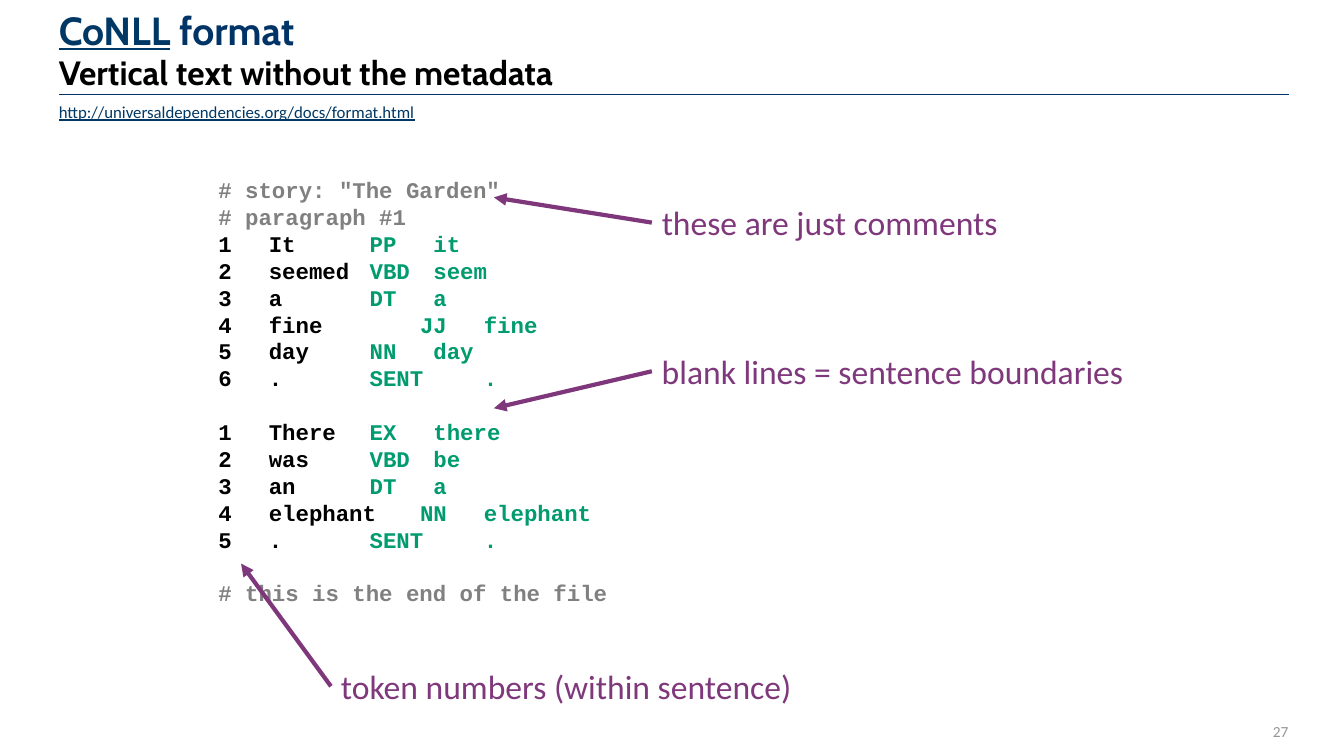
from typing import NamedTuple

from lxml import etree
from pptx import Presentation
from pptx.dml.color import RGBColor
from pptx.enum.shapes import MSO_CONNECTOR
from pptx.enum.text import MSO_ANCHOR, MSO_AUTO_SIZE, PP_ALIGN
from pptx.oxml.ns import qn
from pptx.util import Inches, Pt

STRAIGHT = MSO_CONNECTOR.STRAIGHT
TOP, MIDDLE, BOTTOM = MSO_ANCHOR.TOP, MSO_ANCHOR.MIDDLE, MSO_ANCHOR.BOTTOM
LEFT, RIGHT = PP_ALIGN.LEFT, PP_ALIGN.RIGHT
NO_FIT, GROW = MSO_AUTO_SIZE.NONE, MSO_AUTO_SIZE.SHAPE_TO_FIT_TEXT
LEFT_SIDE = 1

# The slide is a grid of 160 columns by 90 rows
WIDTH, HEIGHT = Inches(13.33), Inches(7.5)
COLUMNS, ROWS = 160, 90

NAVY, LINK, BLACK = "003366", "003865", "000000"
GREY, GREEN, PURPLE, PAGE_GREY = "808080", "009B6E", "7F387B", "969696"
CODE_PITCH = Pt(19.2)
TAB_STEP, TAB_COUNT = 0.5, 6


class Area(NamedTuple):
    column: float
    row: float
    columns: float
    rows: float


class Callout(NamedTuple):
    label: str
    area: Area
    tip: tuple[float, float]


class Token(NamedTuple):
    form: str
    tag: str
    lemma: str
    gap: str = "\t\t"


SENTENCES = [
    [Token("It", "PP", "it"), Token("seemed", "VBD", "seem", "\t"),
     Token("a", "DT", "a"), Token("fine", "JJ", "fine"),
     Token("day", "NN", "day"), Token(".", "SENT", ".")],
    [Token("There", "EX", "there", "\t"), Token("was", "VBD", "be"),
     Token("an", "DT", "a"), Token("elephant", "NN", "elephant", "\t"),
     Token(".", "SENT", ".")],
]
CALLOUTS = [
    Callout("these are just comments", Area(77.6, 23.5, 43.8, 6), (58.8, 23.5)),
    Callout("blank lines = sentence boundaries", Area(77.6, 41.2, 57.5, 6), (58.8, 48.6)),
    Callout("token numbers (within sentence)", Area(39.4, 78.7, 57.5, 6), (28.7, 67.1)),
]


def x(column: float) -> int:
    return round(WIDTH * column / COLUMNS)


def y(row: float) -> int:
    return round(HEIGHT * row / ROWS)


def colour(value: str) -> RGBColor:
    return RGBColor.from_string(value)


def add_text(paragraph, text: str, *, size: float, ink: str, font: str = "Calibri",
             bold: bool = False, underline: bool = False) -> None:
    run = paragraph.add_run()
    run.text = text
    run.font.name, run.font.size = font, Pt(size)
    run.font.bold, run.font.underline = bold, underline
    run.font.color.rgb = colour(ink)


def set_frame(shape, *, anchor=TOP, fit=NO_FIT, insets=(0, 0, 0, 0)):
    frame = shape.text_frame
    frame.word_wrap, frame.auto_size, frame.vertical_anchor = True, fit, anchor
    (frame.margin_left, frame.margin_top,
     frame.margin_right, frame.margin_bottom) = map(Inches, insets)
    return frame


def place(shape, area: Area) -> None:
    shape.left, shape.top = x(area.column), y(area.row)
    shape.width, shape.height = x(area.columns), y(area.rows)


def add_box(slide, area: Area, **frame_format):
    box = slide.shapes.add_textbox(x(area.column), y(area.row), x(area.columns), y(area.rows))
    return box, set_frame(box, **frame_format).paragraphs[0]


def add_line(slide, start: tuple[float, float], end: tuple[float, float],
             ink: str, width: float, arrow: bool = False):
    line = slide.shapes.add_connector(STRAIGHT, x(start[0]), y(start[1]), x(end[0]), y(end[1]))
    line.line.color.rgb, line.line.width = colour(ink), Pt(width)
    properties = line._element.spPr
    if arrow:
        etree.SubElement(properties.find(qn("a:ln")), qn("a:tailEnd"), type="triangle")
    etree.SubElement(properties, qn("a:effectLst"))
    return line


def format_code_line(paragraph, blank_line_before: bool) -> None:
    properties = paragraph._p.get_or_add_pPr()
    properties.set("marL", "0")
    properties.set("indent", "0")
    etree.SubElement(properties, qn("a:buNone"))
    tabs = etree.SubElement(properties, qn("a:tabLst"))
    for number in range(1, TAB_COUNT + 1):
        etree.SubElement(tabs, qn("a:tab"), pos=str(Inches(TAB_STEP * number)), algn="l")
    paragraph.alignment = LEFT
    paragraph.line_spacing = CODE_PITCH
    paragraph.space_before = CODE_PITCH if blank_line_before else Pt(0)
    paragraph.space_after = Pt(0)


def add_code_line(frame, *pieces: tuple[str, str], blank_line_before: bool = False) -> None:
    first = frame.paragraphs[0]
    paragraph = frame.add_paragraph() if first.runs else first
    format_code_line(paragraph, blank_line_before)
    for text, ink in pieces:
        add_text(paragraph, text, size=16, ink=ink, font="Courier New", bold=True)


def add_title(slide) -> None:
    title = slide.shapes.title
    place(title, Area(7, 1.5, 101.3, 9.5))
    heading = set_frame(title, anchor=BOTTOM).paragraphs[0]
    heading.alignment, heading.line_spacing = LEFT, Pt(28)
    add_text(heading, "CoNLL", size=28, ink=LINK, font="Cabin", bold=True, underline=True)
    add_text(heading, " format", size=28, ink=NAVY, font="Cabin", bold=True)
    heading.add_line_break()
    add_text(heading, "Vertical text without the metadata", size=24, ink=BLACK,
             font="Cabin", bold=True)


def add_listing(slide) -> None:
    body = slide.placeholders[1]
    place(body, Area(26, 21, 108, 66.8))
    listing = set_frame(body)
    for remark in ('# story: "The Garden"', "# paragraph #1"):
        add_code_line(listing, (remark, GREY))
    for sentence_index, sentence in enumerate(SENTENCES):
        for number, token in enumerate(sentence, 1):
            add_code_line(listing, (f"{number}\t{token.form}{token.gap}", BLACK),
                          (f"{token.tag}\t {token.lemma}", GREEN),
                          blank_line_before=sentence_index > 0 and number == 1)
    add_code_line(listing, ("# this is the end of the file", GREY), blank_line_before=True)


def add_callout(slide, callout: Callout) -> None:
    area = callout.area
    label, paragraph = add_box(slide, area, fit=GROW, insets=(0.1, 0.05, 0.1, 0.05))
    add_text(paragraph, callout.label, size=24, ink=PURPLE)
    arrow = add_line(slide, (area.column, area.row + area.rows / 2), callout.tip,
                     "7F377B", 3, arrow=True)
    arrow.begin_connect(label, LEFT_SIDE)


def main() -> None:
    deck = Presentation()
    deck.slide_width, deck.slide_height = WIDTH, HEIGHT
    slide = deck.slides.add_slide(deck.slide_layouts[1])

    # Heading with its rule
    add_line(slide, (153.4, 11.3), (7, 11.3), NAVY, 0.75)
    add_title(slide)

    # Code listing and its explanations
    add_listing(slide)
    for callout in CALLOUTS:
        add_callout(slide, callout)

    # Web address and page number
    _, address = add_box(slide, Area(7, 11.5, 55, 3.6), fit=GROW, insets=(0, 0.05, 0, 0.05))
    add_text(address, "http://universaldependencies.org/docs/format.html",
             size=12, ink=LINK, underline=True)
    _, page = add_box(slide, Area(145.4, 84.1, 8, 5.9), anchor=MIDDLE, insets=(0.1, 0, 0, 0))
    page.alignment = RIGHT
    add_text(page, "27", size=11, ink=PAGE_GREY)

    deck.save("out.pptx")


if __name__ == "__main__":
    main()
